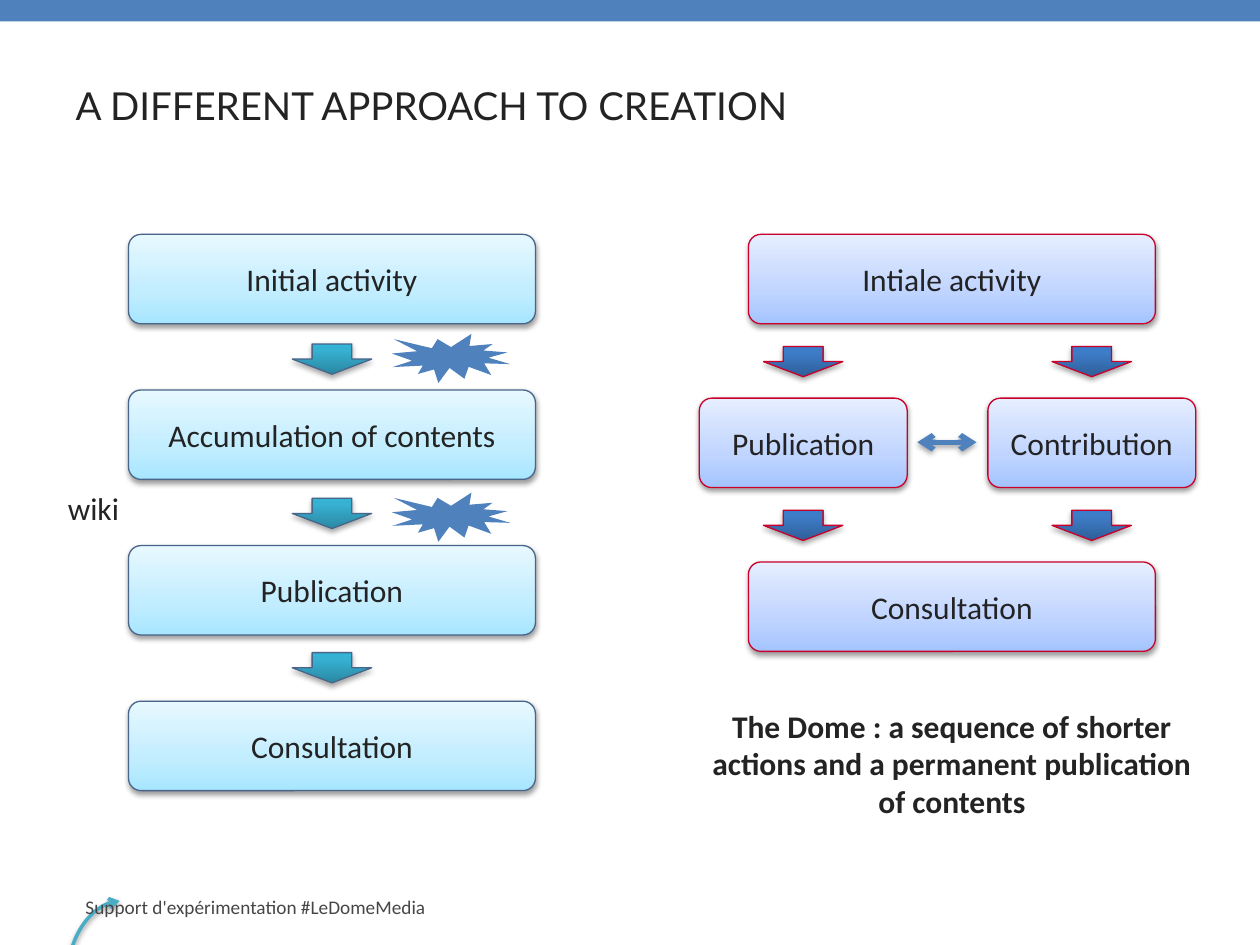
from dataclasses import dataclass

from lxml import etree
from pptx import Presentation
from pptx.dml.color import RGBColor
from pptx.enum.shapes import MSO_CONNECTOR, MSO_SHAPE
from pptx.enum.text import MSO_ANCHOR, MSO_AUTO_SIZE, PP_ALIGN
from pptx.oxml import parse_xml
from pptx.oxml.ns import nsdecls, qn
from pptx.util import Inches, Pt

ROUND, DOWN = MSO_SHAPE.ROUNDED_RECTANGLE, MSO_SHAPE.DOWN_ARROW
RECT, SEAL = MSO_SHAPE.RECTANGLE, MSO_SHAPE.EXPLOSION1
LINE, CURVE = MSO_CONNECTOR.STRAIGHT, MSO_CONNECTOR.CURVE
LEFT, CENTER = PP_ALIGN.LEFT, PP_ALIGN.CENTER
TOP, MIDDLE, BOTTOM = MSO_ANCHOR.TOP, MSO_ANCHOR.MIDDLE, MSO_ANCHOR.BOTTOM


@dataclass(frozen=True)
class Theme:
    head: str = "Lato"
    body: str = "Calibri"
    ink: str = "232323"
    gray: str = "464646"
    blue: str = "4F81BD"
    teal: str = "4BACC6"
    navy: str = "49658A"
    red: str = "CA002A"
    sky: tuple = ((0, "A7E6FF"), (35, "C1EDFF"), (100, "E7F8FF"))
    lilac: tuple = ((0, "A4C4FF"), (35, "BFD4FF"), (100, "E6EEFF"))
    sea: tuple = ((0, "2A88A2"), (80, "37B1D2"), (100, "34B4D6"))
    royal: tuple = ((0, "2F5F99"), (80, "3D7CC7"), (100, "3A7CCB"))
    big: int = 22
    mid: int = 18
    small: int = 11


T = Theme()


def style(shape, alpha, dist, color, width, stops=()):
    """Set gradient, line and drop shadow; stops run from bottom to top."""
    props = shape._element.spPr
    if stops:
        marks = "".join(
            f'<a:gs pos="{pos * 1000}"><a:srgbClr val="{hue}"/></a:gs>'
            for pos, hue in stops
        )
        props.append(parse_xml(
            f'<a:gradFill {nsdecls("a")} rotWithShape="1"><a:gsLst>{marks}'
            '</a:gsLst><a:lin ang="16200000" scaled="0"/></a:gradFill>'
        ))
    shape.line.color.rgb = RGBColor.from_string(color)
    shape.line.width = Pt(width)
    props.append(parse_xml(
        f'<a:effectLst {nsdecls("a")}><a:outerShdw blurRad="{Pt(3.1)}" '
        f'dist="{Pt(dist)}" dir="5400000" rotWithShape="0">'
        f'<a:srgbClr val="000000"><a:alpha val="{alpha * 1000}"/></a:srgbClr>'
        '</a:outerShdw></a:effectLst>'
    ))


def write(shape, text, size=T.mid, color=T.ink, font=T.body, bold=False,
          align=CENTER, anchor=MIDDLE, wrap=True):
    frame = shape.text_frame
    frame.word_wrap, frame.vertical_anchor = wrap, anchor
    frame.auto_size = MSO_AUTO_SIZE.NONE
    para = frame.paragraphs[0]
    para.alignment = align
    run = para.add_run()
    run.text = text
    run.font.name, run.font.size, run.font.bold = font, Pt(size), bold
    run.font.color.rgb = RGBColor.from_string(color)


deck = Presentation()
deck.slide_width, deck.slide_height = Inches(10), Inches(7.5)
slide = deck.slides.add_slide(deck.slide_layouts[5])
shapes = slide.shapes

# Title
title = shapes.title
title.left, title.top = Inches(0.6), Inches(0.21)
title.width, title.height = Inches(8.8), Inches(0.86)
write(title, "A DIFFERENT APPROACH TO CREATION", T.big, font=T.head,
      align=LEFT, anchor=BOTTOM)
frame = title.text_frame
frame.margin_left = frame.margin_right = 0
frame.margin_top = frame.margin_bottom = Inches(0.05)
frame.paragraphs[0].line_spacing = 0.9

# Top band and bursts
for kind, x, y, w, h in (
    (RECT, 0, 0, 10, 0.17),
    (SEAL, 3.11, 2.65, 0.94, 0.39),
    (SEAL, 3.11, 3.91, 0.94, 0.39),
):
    mark = shapes.add_shape(kind, Inches(x), Inches(y), Inches(w), Inches(h))
    mark.shadow.inherit = False
    mark.fill.solid()
    mark.fill.fore_color.rgb = RGBColor.from_string(T.blue)
    mark.line.fill.background()

# Steps of both flows
wide, slim = 3.23, 1.65
steps = ("Initial activity", "Accumulation of contents", "Publication",
         "Consultation")
boxes = [(text, 1.02, 1.86 + 1.235 * i, wide, T.navy, T.sky)
         for i, text in enumerate(steps)]
boxes += [(text, x, 1.86 + 1.3 * row, w, T.red, T.lilac)
          for text, x, row, w in (
              ("Intiale activity", 5.94, 0, wide),
              ("Publication", 5.55, 1, slim),
              ("Contribution", 7.84, 1, slim),
              ("Consultation", 5.94, 2, wide))]
for text, x, y, w, edge, stops in boxes:
    box = shapes.add_shape(ROUND, Inches(x), Inches(y), Inches(w), Inches(0.71))
    box.adjustments[0] = 0.14
    style(box, 38, 1.6, edge, 0.75, stops)
    write(box, text)

# Block arrows between the steps
downs = [(2.32, 2.73 + 1.225 * i, T.navy, T.sea) for i in range(3)]
downs += [(x, y, T.red, T.royal) for x in (6.06, 8.35) for y in (2.75, 4.05)]
for x, y, edge, stops in downs:
    down = shapes.add_shape(DOWN, Inches(x), Inches(y), Inches(0.63), Inches(0.24))
    style(down, 35, 1.8, edge, 0.75, stops)

# Link between publication and contribution, and the curved wiki arrow
link = shapes.add_connector(LINE, Inches(7.75), Inches(3.51),
                            Inches(7.28), Inches(3.51))
style(link, 35, 1.8, T.blue, 3)
curve = shapes.add_connector(CURVE, Inches(0.95), Inches(7.15),
                             Inches(0.96), Inches(8.38))
style(curve, 38, 1.6, T.teal, 2)
props = curve._element.spPr
props.find(qn("a:xfrm")).set("rot", "10800000")
bend = props.find(qn("a:prstGeom")).find(qn("a:avLst"))
etree.SubElement(bend, qn("a:gd"), name="adj1", fmla="val 4300000")
for wire, ends in ((link, ("headEnd", "tailEnd")), (curve, ("tailEnd",))):
    stroke = wire._element.spPr.find(qn("a:ln"))
    for end in ends:
        etree.SubElement(stroke, qn(f"a:{end}"), type="arrow")

# Free text
for text, x, y, w, h, look in (
    ("Support d'expérimentation #LeDomeMedia", 0.58, 7.11, 4.97, 0.18,
     dict(size=T.small, color=T.gray, align=LEFT)),
    ("wiki", 0.44, 3.83, 0.6, 0.4, dict(align=LEFT, anchor=TOP, wrap=False)),
    ("The Dome : a sequence of shorter actions and a permanent publication "
     "of contents", 5.47, 5.56, 4.17, 1, dict(bold=True, anchor=TOP)),
):
    note = shapes.add_textbox(Inches(x), Inches(y), Inches(w), Inches(h))
    write(note, text, **look)

deck.save("out.pptx")
